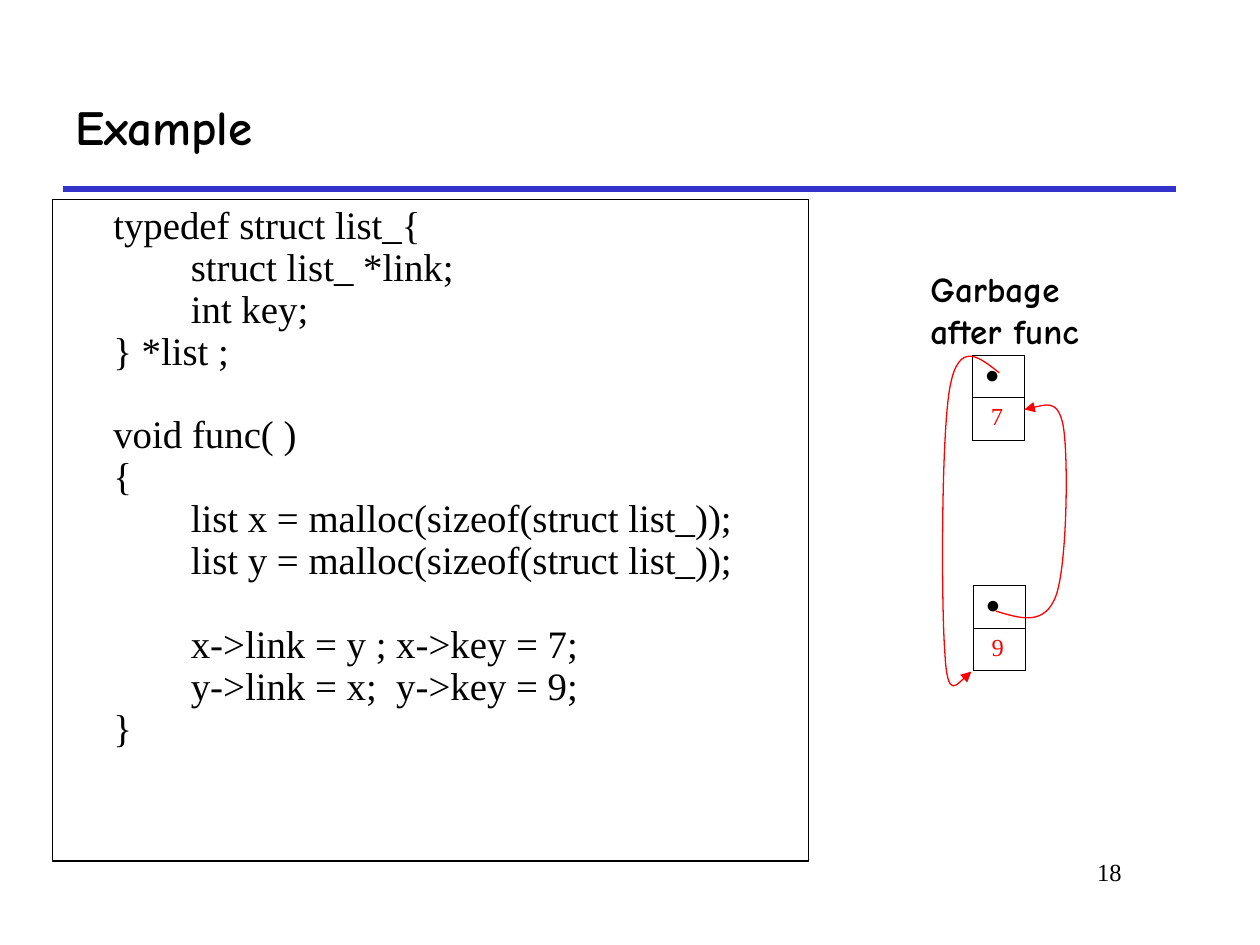
from dataclasses import dataclass
from typing import Any

from lxml import etree
from pptx import Presentation
from pptx.dml.color import RGBColor
from pptx.enum.shapes import MSO_CONNECTOR, MSO_SHAPE
from pptx.enum.text import MSO_ANCHOR, MSO_AUTO_SIZE, PP_ALIGN
from pptx.oxml.ns import qn
from pptx.util import Pt

STRAIGHT = MSO_CONNECTOR.STRAIGHT
RECTANGLE = MSO_SHAPE.RECTANGLE
TOP, MIDDLE = MSO_ANCHOR.TOP, MSO_ANCHOR.MIDDLE
LEFT, RIGHT = PP_ALIGN.LEFT, PP_ALIGN.RIGHT
NO_AUTOFIT = MSO_AUTO_SIZE.NONE

BLACK = RGBColor(0x00, 0x00, 0x00)
RED = RGBColor(0xFF, 0x00, 0x00)
BLUE = RGBColor(0x33, 0x33, 0xCC)

COMIC = "Comic Neue"
TIMES = "Times New Roman"
CODE_PITCH = 23.95
CODE_TAB = 72
CELL_WIDTH, CELL_HEIGHT = 30, 24.2

CODE = """\
     typedef struct list_{
\tstruct list_ *link;
\tint key;
     } *list ;

     void func( )
     {
\tlist x = malloc(sizeof(struct list_));
\tlist y = malloc(sizeof(struct list_));

\tx->link = y ; x->key = 7;
\ty->link = x;  y->key = 9;
     }"""


@dataclass(frozen=True)
class Label:
    lines: tuple[str, ...]
    left: float
    top: float
    width: float
    height: float
    font: dict[str, Any]
    wrap: bool = True
    anchor: Any = TOP
    align: Any = LEFT


@dataclass(frozen=True)
class ListNode:
    key: str
    left: float
    top: float


@dataclass(frozen=True)
class Link:
    """A start point followed by groups of three Bézier points."""
    start: tuple[float, float]
    curve: tuple[tuple[float, float], ...]


LABELS = (
    Label(("Example",), 36, 36, 636, 72,
          {"name": COMIC, "size": Pt(28), "bold": True}, anchor=MIDDLE),
    Label(("18",), 546, 486, 102, 36,
          {"name": TIMES, "size": Pt(14)}, align=RIGHT),
    Label(("Garbage", "after func"), 524.6, 149.5, 99.5, 55.5,
          {"name": COMIC, "size": Pt(20), "bold": True}, wrap=False),
)
NODES = (ListNode("7", 555.6, 203), ListNode("9", 556, 334.7))
LINKS = (
    Link((569, 349.2), (
        (583.2, 353.5), (596.9, 357.8), (603.4, 340.6),
        (609.8, 323.3), (610.6, 262.1), (607.7, 244.1),
        (604.8, 226.8), (585.4, 234), (585.4, 234))),
    Link((571, 213.1), (
        (559.4, 203.8), (547.9, 194.4), (542.9, 221),
        (537.8, 247.7), (537.8, 346.3), (540, 373.7),
        (541.4, 401), (555.1, 383.8), (555.1, 383.8))),
)


def apply_font(font: Any, values: dict[str, Any], color: RGBColor = BLACK) -> None:
    for name, value in values.items():
        setattr(font, name, value)
    font.color.rgb = color


def draw_label(page: Any, label: Label) -> None:
    box = page.shapes.add_textbox(Pt(label.left), Pt(label.top),
                                  Pt(label.width), Pt(label.height))
    frame = box.text_frame
    frame.word_wrap = label.wrap
    frame.vertical_anchor = label.anchor
    frame.text = "\n".join(label.lines)
    for para in frame.paragraphs:
        para.alignment = label.align
        for span in para.runs:
            apply_font(span.font, label.font)


def draw_rule(page: Any) -> None:
    rule = page.shapes.add_connector(STRAIGHT, Pt(36), Pt(108), Pt(672), Pt(108))
    rule.line.color.rgb = BLUE
    rule.line.width = Pt(3)
    etree.SubElement(rule._element.spPr, qn("a:effectLst"))


def add_tab_stop(para: Any) -> None:
    stops = etree.SubElement(para._p.get_or_add_pPr(), qn("a:tabLst"))
    etree.SubElement(stops, qn("a:tab"), pos=str(Pt(CODE_TAB)), algn="l")


def draw_code(page: Any) -> None:
    box = page.shapes.add_shape(RECTANGLE, Pt(30), Pt(114), Pt(432), Pt(378))
    box.shadow.inherit = False
    box.fill.background()
    box.line.color.rgb = BLACK
    box.line.width = Pt(0.75)
    frame = box.text_frame
    frame.word_wrap = True
    frame.auto_size = NO_AUTOFIT
    frame.vertical_anchor = TOP
    frame.margin_top = Pt(3.3)
    para = frame.paragraphs[0]
    for number, block in enumerate(CODE.split("\n\n")):
        for row, line in enumerate(block.split("\n")):
            if number or row:
                para = frame.add_paragraph()
            para.alignment = LEFT
            para.line_spacing = Pt(CODE_PITCH)
            if number and not row:
                para.space_before = Pt(CODE_PITCH)
            add_tab_stop(para)
            span = para.add_run()
            span.text = line
            apply_font(span.font, {"name": TIMES, "size": Pt(22.2)})


def add_borders(cell: Any) -> None:
    properties = cell._tc.get_or_add_tcPr()
    for position, side in enumerate(("a:lnL", "a:lnR", "a:lnT", "a:lnB")):
        border = etree.Element(qn(side), w=str(Pt(0.45)))
        fill = etree.SubElement(border, qn("a:solidFill"))
        etree.SubElement(fill, qn("a:srgbClr"), val=str(BLACK))
        properties.insert(position, border)


def draw_node(page: Any, node: ListNode) -> None:
    table = page.shapes.add_table(2, 1, Pt(node.left), Pt(node.top),
                                  Pt(CELL_WIDTH), Pt(2 * CELL_HEIGHT)).table
    table.first_row = table.horz_banding = False
    contents = (("●", BLACK, 7.2), (node.key, RED, 10.7))
    for row, (text, color, margin) in enumerate(contents):
        table.rows[row].height = Pt(CELL_HEIGHT)
        cell = table.cell(row, 0)
        cell.fill.background()
        cell.margin_left = Pt(margin)
        cell.text = text
        span = cell.text_frame.paragraphs[0].runs[0]
        apply_font(span.font, {"name": TIMES, "size": Pt(14)}, color)
        add_borders(cell)


def draw_link(page: Any, link: Link) -> None:
    builder = page.shapes.build_freeform(*map(Pt, link.start))
    builder.add_line_segments([(Pt(x), Pt(y)) for x, y in link.curve], close=False)
    arrow = builder.convert_to_shape()
    arrow.shadow.inherit = False
    arrow.fill.background()
    arrow.line.color.rgb = RED
    arrow.line.width = Pt(0.75)
    segments = list(arrow._element.iter(qn("a:lnTo")))
    for first in range(0, len(segments), 3):
        bezier = etree.Element(qn("a:cubicBezTo"))
        segments[first].addprevious(bezier)
        for segment in segments[first:first + 3]:
            bezier.append(segment[0])
            segment.getparent().remove(segment)
    etree.SubElement(arrow.line._get_or_add_ln(), qn("a:tailEnd"), type="triangle")


def main() -> None:
    deck = Presentation()
    deck.slide_width, deck.slide_height = Pt(720), Pt(540)
    page = deck.slides.add_slide(deck.slide_layouts[6])
    draw_rule(page)
    draw_code(page)
    for node in NODES:
        draw_node(page, node)
    for link in LINKS:
        draw_link(page, link)
    for label in LABELS:
        draw_label(page, label)
    deck.save("out.pptx")


if __name__ == "__main__":
    main()
